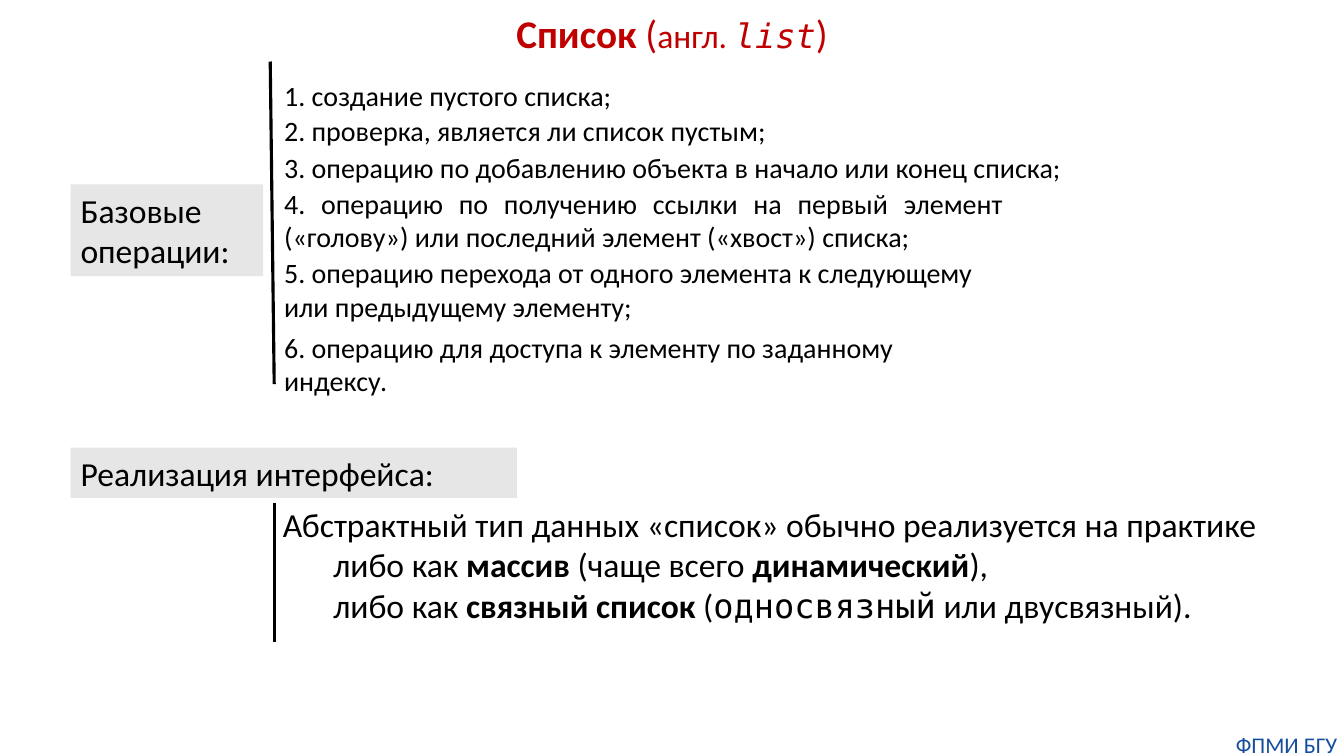
"""Build a slide on the basic operations and implementation of the list type."""
from lxml import etree
from pptx import Presentation
from pptx import util as u
from pptx.dml.color import RGBColor
from pptx.enum import shapes, text
from pptx.oxml.ns import qn

RED = RGBColor(0xC0, 0x00, 0x00)
BLACK = RGBColor(0x00, 0x00, 0x00)
GREY = RGBColor(0xE7, 0xE6, 0xE6)
BLUE = RGBColor(0x14, 0x4E, 0x9D)
MONO = {"name": "DejaVu Sans Mono"}
BOLD = {"bold": True}
LEFT, CENTER, JUSTIFY = text.PP_ALIGN.LEFT, text.PP_ALIGN.CENTER, text.PP_ALIGN.JUSTIFY

OPERATIONS_LEFT = 6.91
OPERATIONS = [
    (1.85, 16.94, 1.12, LEFT, "1. создание пустого списка;"),
    (2.74, 12.9, 1.12, LEFT, "2. проверка, является ли список пустым;"),
    (3.66, 20.24, 1.12, LEFT, "3. операцию по добавлению объекта в начало или конец списка;"),
    (4.57, 18.62, 1.96, JUSTIFY, "4. операцию по получению ссылки на первый элемент "
     "(«голову») или последний элемент («хвост») списка;"),
    (6.32, 18.47, 1.96, LEFT, "5. операцию перехода от одного элемента к следующему "
     "или предыдущему элементу;"),
    (8.2, 18.2, 1.96, LEFT, "6. операцию для доступа к элементу по заданному индексу."),
]
LABELS = [
    ((1.78, 4.65, 4.85, 2.31), "Базовые операции:"),
    ((1.78, 11.28, 11.25, 1.27), "Реализация интерфейса:"),
]
IMPLEMENTATION = [
    [("Абстрактный тип данных «cписок» обычно реализуется на практике", {})],
    [("либо как ", {}), ("массив ", BOLD), ("(чаще всего ", {}),
     ("динамический", BOLD), ("),", {})],
    [("либо как ", {}), ("связный список ", BOLD), ("(", {}),
     ("односвязный", MONO), (" или двусвязный).", {})],
]
DIVIDERS = [(6.81, 1.55, 6.91, 9.68), (6.91, 12.67, 6.91, 16.18)]


def lengths(box):
    """Turn centimetre numbers into lengths."""
    return [u.Cm(value) for value in box]


def set_attributes(target, values):
    """Set every attribute given in a dict of format values."""
    for key, value in values.items():
        setattr(target, key, value)


def write_runs(paragraph, runs, size, color, **layout):
    """Write formatted runs into one paragraph."""
    set_attributes(paragraph, layout)
    for wording, changes in runs:
        run = paragraph.add_run()
        run.text = wording
        look = {"name": "Calibri", "size": u.Pt(size), "bold": False, "italic": False}
        set_attributes(run.font, {**look, **changes})
        run.font.color.rgb = color


def add_text_frame(slide, box):
    """Add a wrapping text box and return its frame."""
    frame = slide.shapes.add_textbox(*lengths(box)).text_frame
    frame.word_wrap = True
    return frame


def add_heading(slide):
    """Place and fill the title placeholder."""
    heading = slide.shapes.title
    place = zip(("left", "top", "width", "height"), lengths((12.4, 0.1, 9.07, 1.45)))
    set_attributes(heading, dict(place))
    set_attributes(heading.text_frame, {
        "word_wrap": True,
        "auto_size": text.MSO_AUTO_SIZE.NONE,
        "vertical_anchor": text.MSO_ANCHOR.TOP,
    })
    smaller = {"size": u.Pt(24)}
    runs = [("Список", BOLD), (" (", {}), ("англ. ", smaller),
            ("list", {**smaller, **MONO, "italic": True}), (")", {})]
    write_runs(heading.text_frame.paragraphs[0], runs, 28, RED, alignment=CENTER)


def add_label(slide, box, wording):
    """Add a grey section label."""
    label = slide.shapes.add_shape(shapes.MSO_SHAPE.RECTANGLE, *lengths(box))
    label.shadow.inherit = False
    label.fill.solid()
    label.fill.fore_color.rgb = GREY
    label.line.fill.background()
    frame = label.text_frame
    set_attributes(frame, {"word_wrap": True, "vertical_anchor": text.MSO_ANCHOR.TOP})
    write_runs(frame.paragraphs[0], [(wording, {})], 24, BLACK, alignment=LEFT)


def add_implementation(slide):
    """Add the statement with its two indented variants."""
    frame = add_text_frame(slide, (6.88, 12.57, 25.2, 3.33))
    for number, runs in enumerate(IMPLEMENTATION):
        paragraph = frame.add_paragraph() if number else frame.paragraphs[0]
        if number:
            paragraph.level = 1
            paragraph._p.get_or_add_pPr().set("marL", str(u.Cm(1.27)))
        write_runs(paragraph, runs, 24, BLACK, alignment=LEFT if number else JUSTIFY)


def add_divider(slide, ends):
    """Add a black divider line without a shadow."""
    divider = slide.shapes.add_connector(shapes.MSO_CONNECTOR.STRAIGHT, *lengths(ends))
    divider.line.color.rgb = BLACK
    divider.line.width = u.Pt(2.25)
    etree.SubElement(divider._element.spPr, qn("a:effectLst"))


def add_department(slide):
    """Add the department name in the bottom corner."""
    frame = add_text_frame(slide, (30.99, 18.42, 2.87, 0.69))
    sides = ("left", "top", "right", "bottom")
    set_attributes(frame, {f"margin_{side}": 0 for side in sides})
    write_runs(frame.paragraphs[0], [("ФПМИ БГУ", {})], 16, BLUE, alignment=CENTER)


def main():
    """Assemble and save the slide."""
    deck = Presentation()
    set_attributes(deck, {"slide_width": u.Cm(33.87), "slide_height": u.Cm(19.05)})
    slide = deck.slides.add_slide(deck.slide_layouts[5])
    add_heading(slide)
    for top, width, height, alignment, wording in OPERATIONS:
        frame = add_text_frame(slide, (OPERATIONS_LEFT, top, width, height))
        write_runs(frame.paragraphs[0], [(wording, {})], 20, BLACK,
                   alignment=alignment, space_after=u.Pt(6))
    for box, wording in LABELS:
        add_label(slide, box, wording)
    add_implementation(slide)
    add_department(slide)
    for ends in DIVIDERS:
        add_divider(slide, ends)
    deck.save("out.pptx")


if __name__ == "__main__":
    main()
